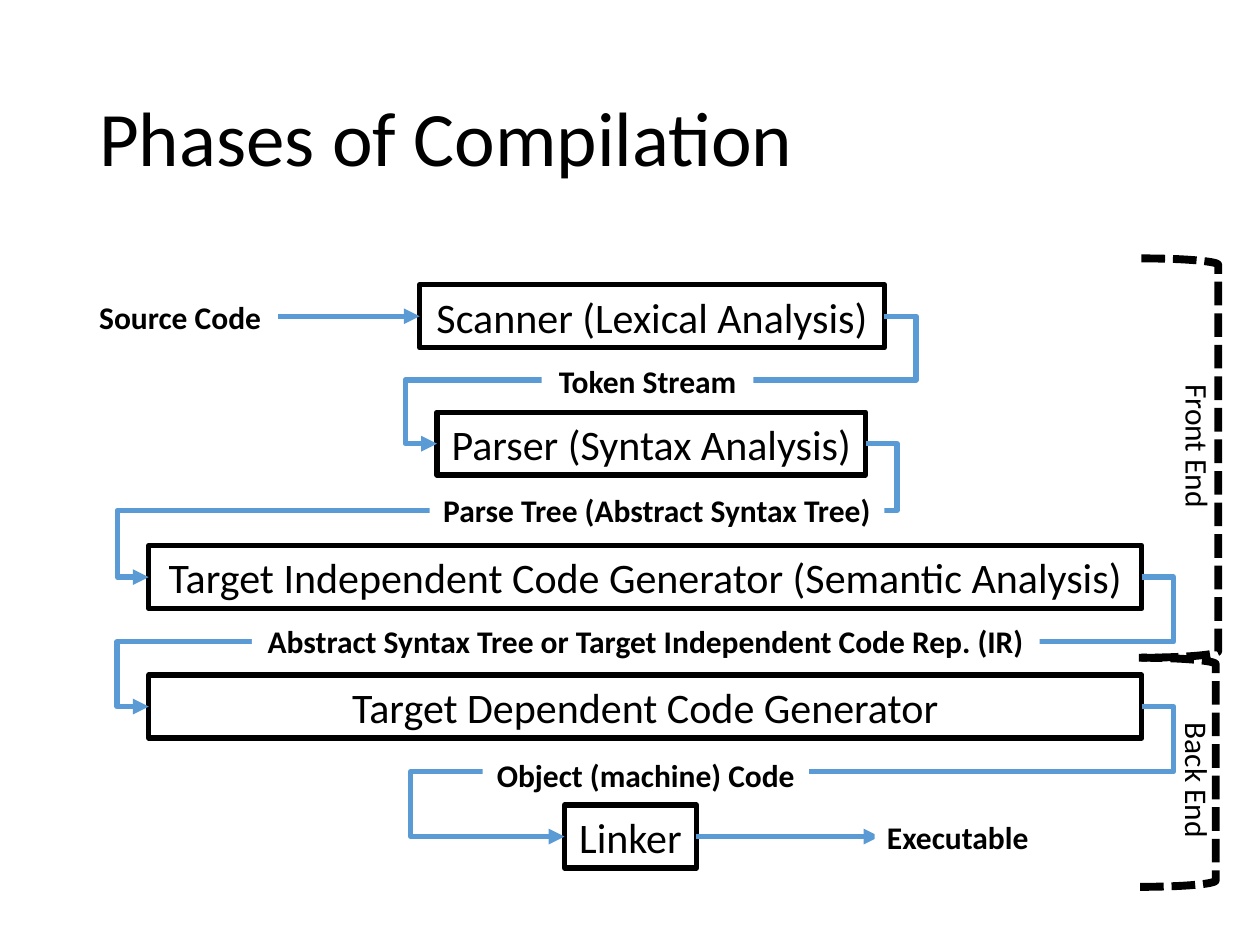
"""Build the slide that shows the phases of compilation."""
from lxml import etree
from pptx import Presentation, util as u
from pptx.dml.color import RGBColor
from pptx.enum import dml, shapes, text
from pptx.oxml import ns

THEME = {
    "font": "Calibri",
    "ink": RGBColor(0, 0, 0),
    "paper": RGBColor(255, 255, 255),
    "flow": RGBColor(0x5B, 0x9B, 0xD5),
    "title": u.Pt(44), "phase": u.Pt(24), "label": u.Pt(18),
    "line": u.Pt(3), "brace": u.Pt(4.5),
}
LEFT, MID = text.PP_ALIGN.LEFT, text.PP_ALIGN.CENTER
FORM, WIRE = shapes.MSO_SHAPE, shapes.MSO_CONNECTOR
BOX_H, TAG_H, STUB = 1.27, 1.02, 0.64

TITLE = ("Phases of Compilation", 1.75, 1.02, 21.89, 3.68)
PHASES = [
    ("Scanner (Lexical Analysis)", 8.46, 5.74, 9.37),
    ("Parser (Syntax Analysis)", 8.81, 8.31, 8.64),
    ("Target Independent Code Generator (Semantic Analysis)", 3, 11, 20.02),
    ("Target Dependent Code Generator", 3, 13.61, 20.02),
    ("Linker", 11.38, 16.23, 2.66),
]
BACKS = [STUB, STUB, STUB, 3.1]
START, STOP = 5.61, 17.73
TAGS = [
    ("Source Code", 1.75, 5.87, 3.78, LEFT),
    ("Executable", 17.63, 16.36, 3.38, LEFT),
    ("Token Stream", 10.92, 7.16, 4.27, MID),
    ("Parse Tree (Abstract Syntax Tree)", 8.66, 9.78, 9.17, MID),
    ("Abstract Syntax Tree or Target Independent Code Rep. (IR)",
     5.08, 12.42, 15.88, MID),
    ("Object (machine) Code", 9.73, 15.11, 6.58, MID),
]
ENDS = [
    ("Front End", (23.01, 5.21, 1.55, 8.05), (22.63, 8.51, 3.05)),
    ("Back End", (22.96, 13.26, 1.55, 4.62), (22.71, 15.24, 2.87)),
]


def apply(item, vals):
    """Set each named attribute on the item."""
    for name, val in vals.items():
        setattr(item, name, val)


def span(*nums):
    """Turn centimetres into lengths."""
    return [u.Cm(num) for num in nums]


def write(shape, words, size, align=LEFT, bold=False, wrap=False):
    """Put one styled paragraph in the shape."""
    frame = shape.text_frame
    apply(frame, {"word_wrap": wrap, "vertical_anchor": text.MSO_ANCHOR.MIDDLE})
    para = frame.paragraphs[0]
    para.alignment = align
    run = para.add_run()
    run.text = words
    apply(run.font, {"name": THEME["font"], "size": THEME[size], "bold": bold})
    run.font.color.rgb = THEME["ink"]
    return para


def form(slide, kind, area, width=None):
    """Add a flat shape, outlined in ink or filled with paper."""
    shape = slide.shapes.add_shape(kind, *span(*area))
    shape.shadow.inherit = False
    if width:
        shape.fill.background()
        shape.line.color.rgb = THEME["ink"]
        shape.line.width = THEME[width]
    else:
        shape.fill.solid()
        shape.fill.fore_color.rgb = THEME["paper"]
        shape.line.fill.background()
    return shape


def arrow(slide, kind, ends=(0, 0, 0, 0)):
    """Add a flow arrow."""
    wire = slide.shapes.add_connector(kind, *ends)
    wire.line.color.rgb = THEME["flow"]
    wire.line.width = THEME["line"]
    tip = etree.SubElement(wire.line._get_or_add_ln(), ns.qn("a:tailEnd"))
    tip.set("type", "triangle")
    etree.SubElement(wire._element.spPr, ns.qn("a:effectLst"))
    return wire


def bend(wire, back):
    """Route the wire out, down, back and in."""
    geom = wire._element.spPr.find(ns.qn("a:prstGeom"))
    geom.set("prst", "bentConnector5")
    guides = geom.find(ns.qn("a:avLst"))
    if guides is None:
        guides = etree.SubElement(geom, ns.qn("a:avLst"))
    wide = wire.width / u.Cm(1)
    for num, part in enumerate((-STUB / wide, 0.5, 1 + back / wide), 1):
        guide = etree.SubElement(guides, ns.qn("a:gd"))
        guide.set("name", f"adj{num}")
        guide.set("fmla", f"val {round(part * 100000)}")


def main():
    """Draw the slide and save it."""
    deck = Presentation()
    apply(deck, {"slide_width": u.Cm(25.4), "slide_height": u.Cm(19.05)})
    slide = deck.slides.add_slide(deck.slide_layouts[6])

    words, *area = TITLE
    head = slide.shapes.add_textbox(*span(*area))
    write(head, words, "title", wrap=True).line_spacing = 0.9

    boxes = []
    for words, left, top, wide in PHASES:
        box = form(slide, FORM.RECTANGLE, (left, top, wide, BOX_H), "line")
        write(box, words, "phase", MID, wrap=True)
        boxes.append(box)

    for box, goal, back in zip(boxes, boxes[1:], BACKS):
        wire = arrow(slide, WIRE.ELBOW)
        wire.begin_connect(box, 3)
        wire.end_connect(goal, 1)
        bend(wire, back)

    first, last = boxes[0], boxes[-1]
    high, low = (box.top + box.height // 2 for box in (first, last))
    lead = arrow(slide, WIRE.STRAIGHT, (u.Cm(START), high, first.left, high))
    lead.end_connect(first, 1)
    exit_x = last.left + last.width
    tail = arrow(slide, WIRE.STRAIGHT, (exit_x, low, u.Cm(STOP), low))
    tail.begin_connect(last, 3)

    for words, left, top, wide, align in TAGS:
        tag = form(slide, FORM.RECTANGLE, (left, top, wide, TAG_H))
        write(tag, words, "label", align, bold=True)

    for words, area, (left, top, wide) in ENDS:
        brace = form(slide, FORM.RIGHT_BRACKET, area, "brace")
        brace.line.dash_style = dml.MSO_LINE.SQUARE_DOT
        note = slide.shapes.add_textbox(*span(left, top, wide, TAG_H))
        note.rotation = 90
        write(note, words, "label")

    deck.save("out.pptx")


if __name__ == "__main__":
    main()
